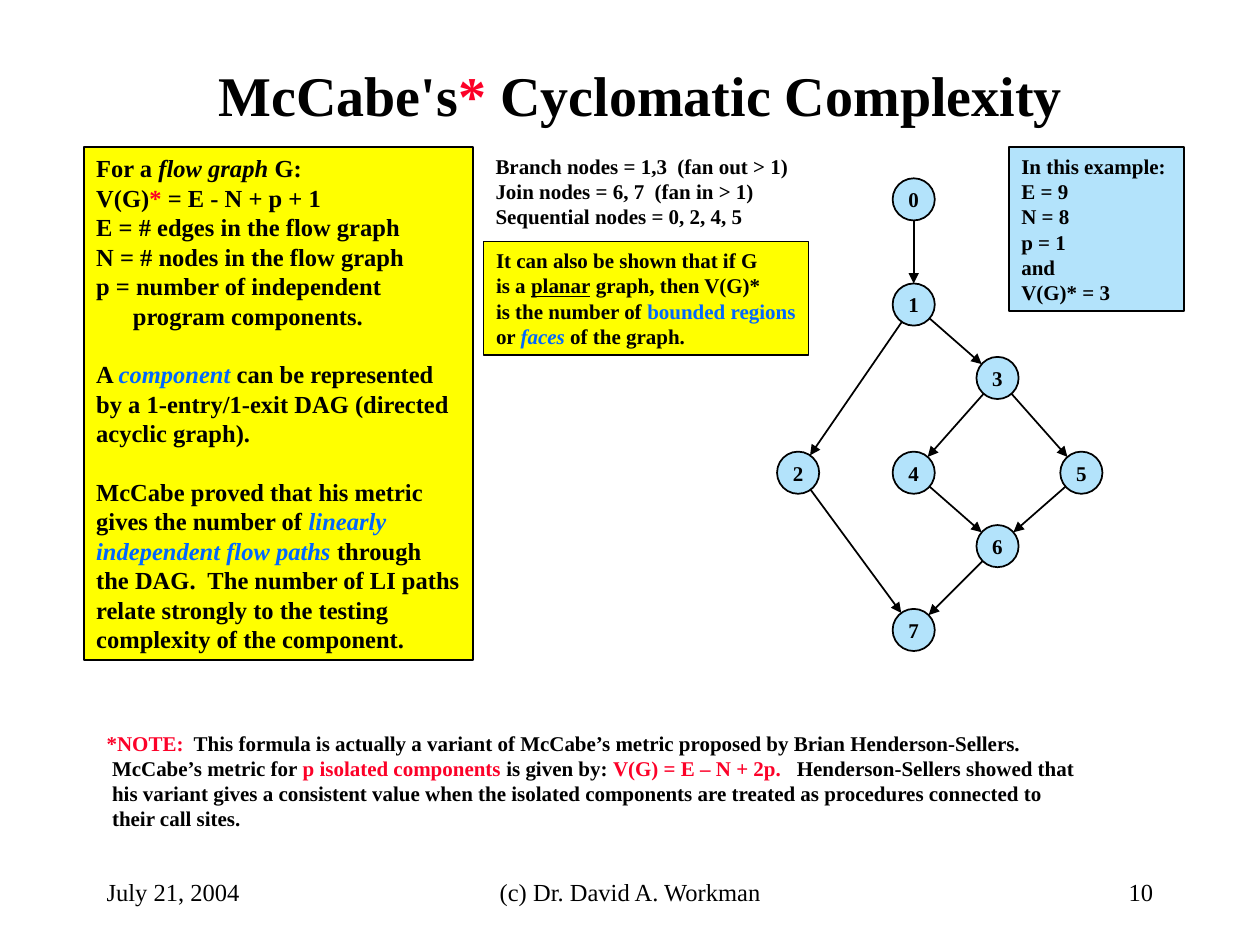
"""Build a slide on cyclomatic complexity with a flow graph."""
from dataclasses import dataclass
from math import hypot

from lxml.etree import SubElement
from pptx import Presentation
from pptx.dml.color import RGBColor as Rgb
from pptx.enum.shapes import MSO_CONNECTOR as Connector, MSO_SHAPE as Shape
from pptx.enum.text import MSO_ANCHOR as Anchor, MSO_AUTO_SIZE as AutoSize, PP_ALIGN as Align
from pptx.oxml.ns import qn
from pptx.util import Cm, Pt


@dataclass(frozen=True)
class Theme:
    font: str = "Times New Roman"
    black: str = "000000"
    red: str = "FC0128"
    blue: str = "0066FF"
    yellow: str = "FFFF00"
    sky: str = "B3E3FB"
    title: int = 32
    body: int = 14
    small: int = 12
    leading: float = 1.2
    line: int = 1


THEME = Theme()
RED, BLUE = {"color": THEME.red}, {"color": THEME.blue}
ITALIC, UNDERLINE = {"italic": True}, {"underline": True}
BLUE_ITALIC = {**BLUE, **ITALIC}

TITLE = ["McCabe's", ("*", RED), " Cyclomatic Complexity"]

DEFINITION = [
    {"spans": ["For a ", ("flow graph", ITALIC), " G:"]},
    {"spans": ["V(G)", ("*", RED), " = E - N + p + 1"]},
    {"spans": ["E = # edges in the flow graph"]},
    {"spans": ["N = # nodes in the flow graph"]},
    {"spans": ["p = number of independent"]},
    {"spans": ["program components."], "indent": 0.74},
    {"spans": ["A ", ("component", BLUE_ITALIC),
               " can be represented by a 1-entry/1-exit DAG (directed acyclic graph)."], "gap": True},
    {"spans": ["McCabe proved that his metric gives the number of ",
               ("linearly independent flow paths", BLUE_ITALIC),
               " through\nthe DAG.  The number of LI paths relate strongly "
               "to the testing complexity of the component."], "gap": True},
]
NODE_KINDS = [
    {"spans": ["Branch nodes = 1,3  (fan out > 1)"]},
    {"spans": ["Join nodes = 6, 7  (fan in > 1)"]},
    {"spans": ["Sequential nodes = 0, 2, 4, 5"]},
]
PLANAR = [
    {"spans": ["It can also be shown that if G\nis a ", ("planar", UNDERLINE),
               " graph, then V(G)*\nis the number of ", ("bounded regions", BLUE),
               "\nor ", ("faces", BLUE_ITALIC), " of the graph."]},
]
EXAMPLE = [{"spans": [text]} for text in
           ("In this example:", "E = 9", "N = 8", "p = 1", "and", "V(G)* = 3")]
NOTE = [
    {"spans": [("*NOTE:", RED), "  This formula is actually a variant of McCabe’s metric "
               "proposed by Brian Henderson-Sellers."]},
    {"spans": ["McCabe’s metric for ", ("p isolated components", RED), " is given by: ",
               ("V(G) = E – N + 2p.", RED),
               "   Henderson-Sellers showed that\nhis variant gives a consistent value when "
               "the isolated components are treated as procedures connected to"], "indent": 0.11},
    {"spans": ["their call sites."], "indent": 0.11},
]

PANELS = [
    (DEFINITION, (1.69, 2.97, 7.84, 10.34), THEME.yellow, THEME.body, True),
    (NODE_KINDS, (9.74, 2.97, 6.4, 1.78), None, THEME.small, False),
    (NOTE, (1.9, 14.6, 20.14, 2.29), None, THEME.small, False),
    (EXAMPLE, (20.34, 2.97, 3.53, 3.3), THEME.sky, THEME.small, False),
    (PLANAR, (9.75, 4.87, 6.55, 2.29), THEME.yellow, THEME.small, False),
]
FOOTERS = [
    ("July 21, 2004", 1.9, 5.3, Align.LEFT),
    ("(c) Dr. David A. Workman", 8.68, 8.05, Align.CENTER),
    ("10", 18.2, 5.3, Align.RIGHT),
]
FOOTER_TOP, FOOTER_HEIGHT = 17.35, 1.27

MIDDLE, COLUMN_STEP, DIAMETER = 18.42, 1.69, 0.85
NODES = {
    "0": (MIDDLE, 4.02),
    "1": (MIDDLE, 6.14),
    "2": (16.09, 9.53),
    "3": (MIDDLE + COLUMN_STEP, 7.62),
    "4": (MIDDLE, 9.53),
    "5": (MIDDLE + 2 * COLUMN_STEP, 9.53),
    "6": (MIDDLE + COLUMN_STEP, 11.01),
    "7": (MIDDLE, 12.7),
}
EDGES = ["01", "12", "13", "34", "35", "27", "46", "56", "67"]


def style_span(span, size, bold=True, color=THEME.black, italic=False, underline=False):
    font = span.font
    font.name, font.size, font.bold = THEME.font, Pt(size), bold
    font.italic, font.underline = italic, underline
    font.color.rgb = Rgb.from_string(color)


def add_spans(para, spans, size):
    for item in spans:
        text, style = (item, {}) if isinstance(item, str) else item
        for index, line in enumerate(text.split("\n")):
            if index:
                para.add_line_break()
            if line:
                span = para.add_run()
                span.text = line
                style_span(span, size, **style)


def set_frame(frame, wrap, anchor=Anchor.TOP):
    frame.auto_size, frame.word_wrap, frame.vertical_anchor = AutoSize.NONE, wrap, anchor


def add_shape(slide, kind, place, fill):
    shape = slide.shapes.add_shape(kind, *map(Cm, place))
    shape.shadow.inherit = False
    shape.fill.solid()
    shape.fill.fore_color.rgb = Rgb.from_string(fill)
    shape.line.color.rgb = Rgb.from_string(THEME.black)
    shape.line.width = Pt(THEME.line)
    return shape


def add_panel(slide, content, place, fill, size, wrap):
    box = (add_shape(slide, Shape.RECTANGLE, place, fill) if fill
           else slide.shapes.add_textbox(*map(Cm, place)))
    frame = box.text_frame
    set_frame(frame, wrap)
    leading = Pt(size * THEME.leading)
    for index, entry in enumerate(content):
        para = frame.add_paragraph() if index else frame.paragraphs[0]
        para.alignment, para.line_spacing = Align.LEFT, leading
        if entry.get("gap"):
            para.space_before = leading
        if "indent" in entry:
            para._p.get_or_add_pPr().set("marL", str(Cm(entry["indent"])))
        add_spans(para, entry["spans"], size)


def add_label(shape, text, size, align, wrap, bold):
    frame = shape.text_frame
    set_frame(frame, wrap, Anchor.MIDDLE)
    frame.text = text
    para = frame.paragraphs[0]
    para.alignment = align
    style_span(para.runs[0], size, bold)


def add_edge(slide, start, end):
    (x1, y1), (x2, y2) = NODES[start], NODES[end]
    share = DIAMETER / 2 / hypot(x2 - x1, y2 - y1)
    dx, dy = (x2 - x1) * share, (y2 - y1) * share
    edge = slide.shapes.add_connector(
        Connector.STRAIGHT, *map(Cm, (x1 + dx, y1 + dy, x2 - dx, y2 - dy)))
    edge.line.color.rgb = Rgb.from_string(THEME.black)
    edge.line.width = Pt(THEME.line)
    SubElement(edge.line._get_or_add_ln(), qn("a:tailEnd"), type="triangle")
    SubElement(edge._element.spPr, qn("a:effectLst"))


def main():
    deck = Presentation()
    deck.slide_width, deck.slide_height = Cm(25.4), Cm(19.05)
    slide = deck.slides.add_slide(deck.slide_layouts[5])

    title = slide.shapes.title
    title.left, title.top, title.width, title.height = map(Cm, (2.12, 1.06, 21.59, 1.69))
    set_frame(title.text_frame, True, Anchor.MIDDLE)
    heading = title.text_frame.paragraphs[0]
    heading.alignment = Align.CENTER
    add_spans(heading, TITLE, THEME.title)

    for name, (x, y) in NODES.items():
        place = (x - DIAMETER / 2, y - DIAMETER / 2, DIAMETER, DIAMETER)
        node = add_shape(slide, Shape.OVAL, place, THEME.sky)
        add_label(node, name, THEME.small, Align.CENTER, False, True)
    for start, end in EDGES:
        add_edge(slide, start, end)
    for panel in PANELS:
        add_panel(slide, *panel)
    for text, left, width, align in FOOTERS:
        box = slide.shapes.add_textbox(*map(Cm, (left, FOOTER_TOP, width, FOOTER_HEIGHT)))
        add_label(box, text, THEME.body, align, True, False)

    deck.save("out.pptx")


if __name__ == "__main__":
    main()
